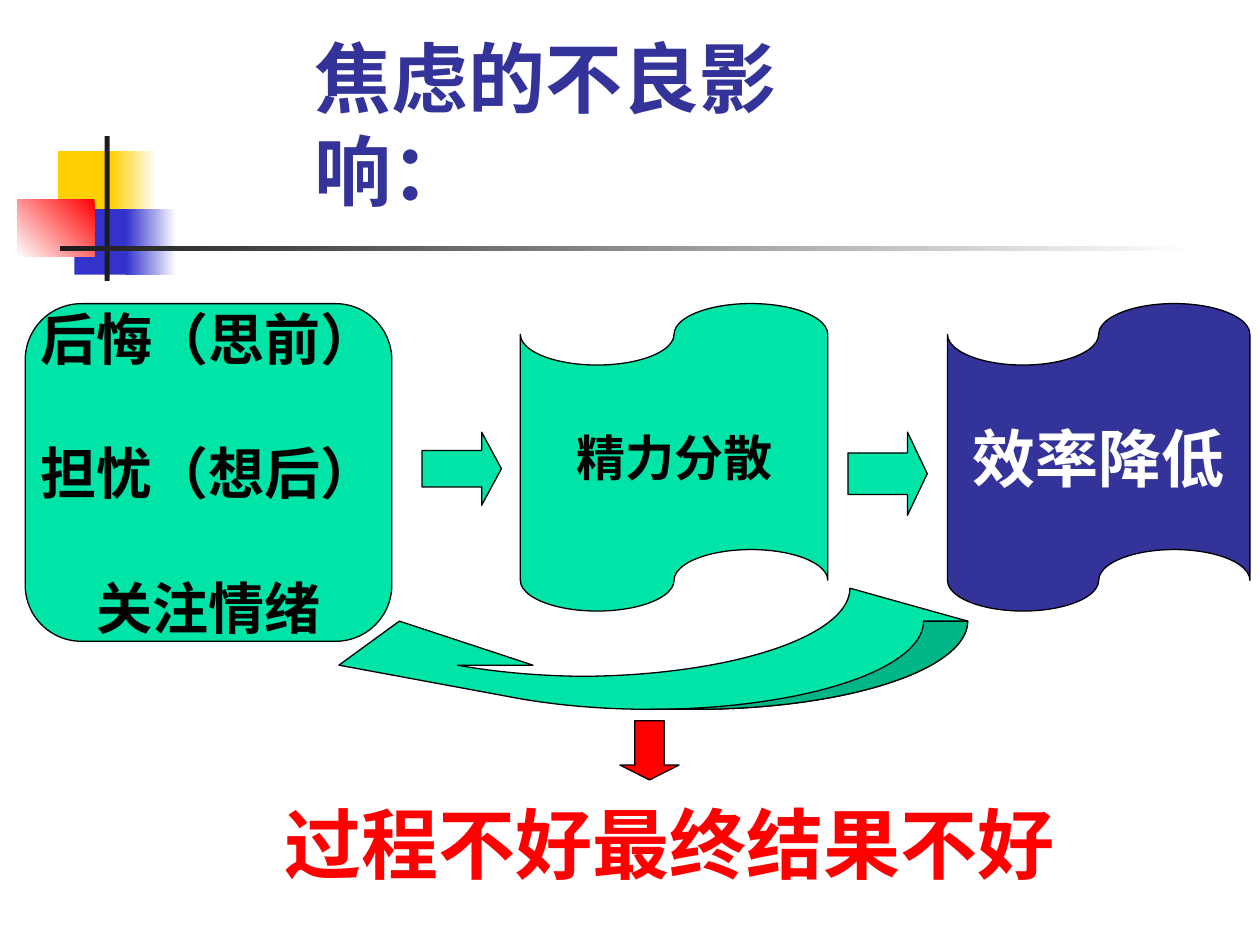
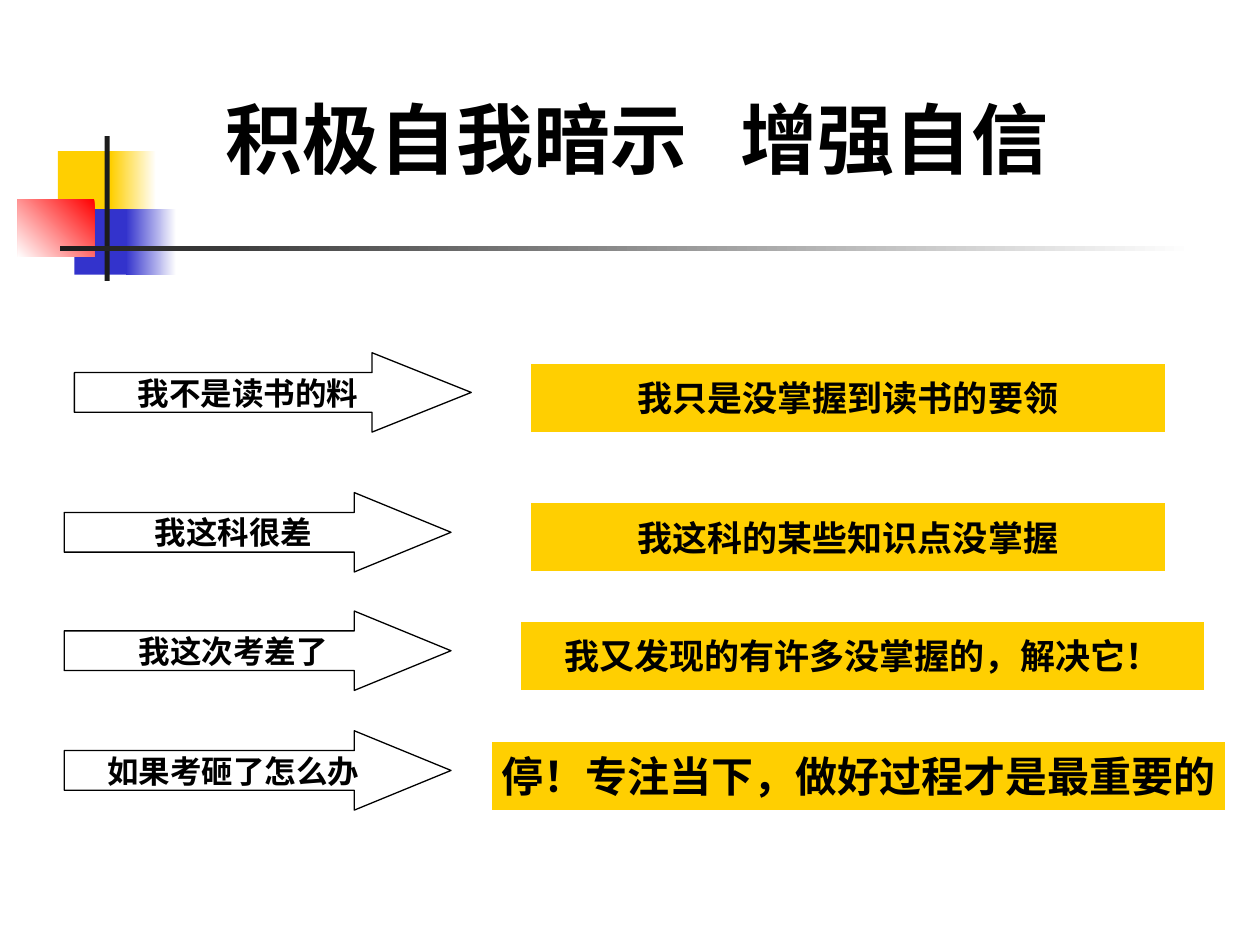
from dataclasses import dataclass
from math import acos, cos, degrees, radians, sin

from lxml.etree import SubElement
from pptx import Presentation
from pptx.dml.color import RGBColor
from pptx.enum.shapes import MSO_SHAPE
from pptx.enum.text import MSO_ANCHOR, PP_ALIGN
from pptx.oxml.ns import qn
from pptx.util import Inches, Pt


@dataclass(frozen=True)
class Theme:
    white: str = "FFFFFF"
    black: str = "000000"
    charcoal: str = "1C1C1C"
    yellow: str = "FFCF01"
    blue: str = "3333CC"
    navy: str = "333399"
    red: str = "FF0000"
    green: str = "00E4A8"
    font: str = "Cabin"
    cause_font: str = "Arial"
    headline_font: str = "Noto Sans CJK JP"
    title_size: int = 44
    result_size: int = 36
    cause_size: int = 32
    step_size: int = 28
    stress_size: int = 24
    answer_size: int = 20
    thought_size: int = 18
    line_width: float = 0.75


theme = Theme()


def style_shape(shape, fill, line=None):
    """Fill with one colour, or with a (start, end, angle) gradient."""
    shape.shadow.inherit = False
    if isinstance(fill, str):
        shape.fill.solid()
        shape.fill.fore_color.rgb = RGBColor.from_string(fill)
    else:
        *colours, angle = fill
        shape.fill.gradient()
        shape.fill.gradient_angle = angle
        for stop, colour in zip(shape.fill.gradient_stops, colours):
            stop.color.rgb = RGBColor.from_string(colour)
    if line:
        shape.line.color.rgb = RGBColor.from_string(line)
        shape.line.width = Pt(theme.line_width)
    else:
        shape.line.fill.background()


def write_text(shape, lines, size, colour=theme.black, font=theme.font,
               align=PP_ALIGN.CENTER, anchor=MSO_ANCHOR.MIDDLE, wrap=False,
               gap=0, tab=None):
    """Write one paragraph per line; gap is the space between them in points."""
    frame = shape.text_frame
    frame.word_wrap = wrap
    frame.vertical_anchor = anchor
    for index, line in enumerate(lines):
        paragraph = frame.add_paragraph() if index else frame.paragraphs[0]
        paragraph.alignment = align
        if index:
            paragraph.space_before = Pt(gap)
        if tab:
            tabs = SubElement(paragraph._p.get_or_add_pPr(), qn("a:tabLst"))
            SubElement(tabs, qn("a:tab"), pos=str(Inches(tab)), algn="l")
        run = paragraph.add_run()
        run.text = line
        run.font.name = font
        run.font.size = Pt(size)
        run.font.bold = True
        run.font.color.rgb = RGBColor.from_string(colour)


presentation = Presentation()
presentation.slide_width = Inches(10)
presentation.slide_height = Inches(7.5)
blank_layout = presentation.slide_layouts[6]
effects_slide = presentation.slides.add_slide(blank_layout)
suggestion_slide = presentation.slides.add_slide(blank_layout)

# The coloured squares and crossed bars move to the master, which both slides show
ornaments = [
    ((0.46, 1.2, 0.48, 0.52), theme.yellow),
    ((0.88, 1.2, 0.36, 0.52), (theme.white, theme.yellow, 180)),
    ((0.59, 1.66, 0.46, 0.52), theme.blue),
    ((1, 1.66, 0.4, 0.52), (theme.white, theme.blue, 180)),
    ((0.14, 1.58, 0.61, 0.46), (theme.red, theme.white, 225)),
    ((0.83, 1.08, 0.04, 1.15), theme.charcoal),
    ((0.48, 1.95, 9, 0.04), (theme.white, theme.charcoal, 180)),
]
for place, fill in ornaments:
    ornament = effects_slide.shapes.add_shape(MSO_SHAPE.RECTANGLE, *map(Inches, place))
    style_shape(ornament, fill)
    presentation.slide_master.shapes._spTree.append(ornament._element)

# Title and conclusion, then the headline of the second slide
headings = [
    (effects_slide, (2.4, 0.76, 4.65, 1), "焦虑的不良影响：",
     theme.navy, theme.font, MSO_ANCHOR.BOTTOM, 0.5, None),
    (effects_slide, (2.16, 6.27, 6.38, 0.84), "过程不好最终结果不好",
     theme.red, theme.font, MSO_ANCHOR.TOP, 0.1, None),
    (suggestion_slide, (1.69, 0.68, 7.56, 0.84), "积极自我暗示\t增强自信",
     theme.black, theme.headline_font, MSO_ANCHOR.TOP, 0.1, 4.09),
]
for slide, place, text, colour, font, anchor, right_margin, tab in headings:
    heading = slide.shapes.add_textbox(*map(Inches, place))
    heading.text_frame.margin_right = Inches(right_margin)
    write_text(heading, [text], theme.title_size, colour, font,
               PP_ALIGN.LEFT, anchor, wrap=True, tab=tab)

# Slide 1: chain from cause to result
chain = [
    (MSO_SHAPE.FLOWCHART_ALTERNATE_PROCESS, (0.2, 2.41, 2.91, 2.68), theme.green,
     ["后悔（思前）", "担忧（想后）", "关注情绪"],
     theme.cause_size, theme.black, theme.cause_font),
    (MSO_SHAPE.FLOWCHART_PUNCHED_TAPE, (4.13, 2.41, 2.44, 2.44), theme.green,
     ["精力分散"], theme.step_size, theme.black, theme.font),
    (MSO_SHAPE.FLOWCHART_PUNCHED_TAPE, (7.52, 2.41, 2.4, 2.44), theme.navy,
     ["效率降低"], theme.result_size, theme.white, theme.font),
]
for kind, place, fill, lines, size, colour, font in chain:
    step = effects_slide.shapes.add_shape(kind, *map(Inches, place))
    style_shape(step, fill, theme.black)
    write_text(step, lines, size, colour, font, gap=38.5)

chain_arrows = [
    (MSO_SHAPE.RIGHT_ARROW, (3.35, 3.43, 0.63, 0.58), theme.green, 0.27),
    (MSO_SHAPE.RIGHT_ARROW, (6.73, 3.43, 0.63, 0.66), theme.green, 0.25),
    (MSO_SHAPE.DOWN_ARROW, (4.92, 5.72, 0.47, 0.47), theme.red, 0.25),
]
for kind, place, fill, head in chain_arrows:
    arrow = effects_slide.shapes.add_shape(kind, *map(Inches, place))
    arrow.adjustments[1] = head
    style_shape(arrow, fill, theme.black)

# Feedback arrow: two equal ellipses side by side bound its curved band.
# Points are measured from the arrow's top left; arcs are (start, sweep) in degrees.
arrow_left, arrow_top, arrow_width, arrow_height = 2.4, 4.93, 5.28, 0.7
radius_x, radius_y = 2.17, arrow_height
right_centre = arrow_width - radius_x
left_centre = right_centre - 0.35
crossing = degrees(acos((right_centre - left_centre) / 2 / radius_x))
head_y = radius_y * sin(radians(150))
head_reach = radius_x * cos(radians(150))
tail = [
    ("moveTo", arrow_width, 0),
    ("arcTo", 0, 90),
    ("lnTo", left_centre, arrow_height),
]
band = tail + [
    ("arcTo", 90, 60),
    ("lnTo", 0.29, head_y),
    ("lnTo", 0.77, 0),
    ("lnTo", 1.83, head_y),
    ("lnTo", right_centre + head_reach, head_y),
    ("arcTo", 150, 30 - crossing),
    ("arcTo", crossing, -crossing),
]
shaded_tail = tail + [("arcTo", 90, -90)]

right, bottom = arrow_left + arrow_width, arrow_top + arrow_height
builder = effects_slide.shapes.build_freeform(Inches(arrow_left), Inches(arrow_top))
builder.add_line_segments([(Inches(right), Inches(arrow_top)),
                           (Inches(right), Inches(bottom))])
feedback_arrow = builder.convert_to_shape()
style_shape(feedback_arrow, theme.green, theme.black)
path_list = feedback_arrow._element.spPr.find(qn("a:custGeom")).find(qn("a:pathLst"))
for old_outline in list(path_list):
    path_list.remove(old_outline)
for commands, shade in [(band, "norm"), (shaded_tail, "darkenLess")]:
    outline = SubElement(path_list, qn("a:path"), w=str(Inches(arrow_width)),
                         h=str(Inches(arrow_height)), fill=shade)
    for name, first, second in commands:
        command = SubElement(outline, qn(f"a:{name}"))
        if name == "arcTo":
            command.set("wR", str(Inches(radius_x)))
            command.set("hR", str(Inches(radius_y)))
            command.set("stAng", str(round(first * 60000)))
            command.set("swAng", str(round(second * 60000)))
        else:
            SubElement(command, qn("a:pt"), x=str(Inches(first)), y=str(Inches(second)))
    SubElement(outline, qn("a:close"))

# Slide 2: each negative thought points to a positive answer
thoughts = [
    (2.8, 0.59, 3.15, "我不是读书的料",
     4.21, 5.04, "我只是没掌握到读书的要领", theme.answer_size),
    (3.91, 0.51, 3.07, "我这科很差",
     4.21, 5.04, "我这科的某些知识点没掌握", theme.answer_size),
    (4.85, 0.51, 3.07, "我这次考差了",
     4.13, 5.43, "我又发现的有许多没掌握的，解决它！", theme.answer_size),
    (5.8, 0.51, 3.07, "如果考砸了怎么办",
     3.9, 5.83, "停！专注当下，做好过程才是最重要的", theme.stress_size),
]
thought_height, answer_height = 0.63, 0.55
for (top, thought_left, thought_width, thought,
     answer_left, answer_width, answer, answer_size) in thoughts:
    arrow = suggestion_slide.shapes.add_shape(
        MSO_SHAPE.RIGHT_ARROW, Inches(thought_left), Inches(top),
        Inches(thought_width), Inches(thought_height))
    arrow.adjustments[1] = thought_width / 4 / thought_height
    style_shape(arrow, theme.white, theme.black)
    write_text(arrow, [thought], theme.thought_size)

    box = suggestion_slide.shapes.add_shape(
        MSO_SHAPE.FLOWCHART_PROCESS, Inches(answer_left),
        Inches(top + thought_height - answer_height),
        Inches(answer_width), Inches(answer_height))
    style_shape(box, theme.yellow, theme.white)
    write_text(box, [answer], answer_size)

presentation.save("out.pptx")
